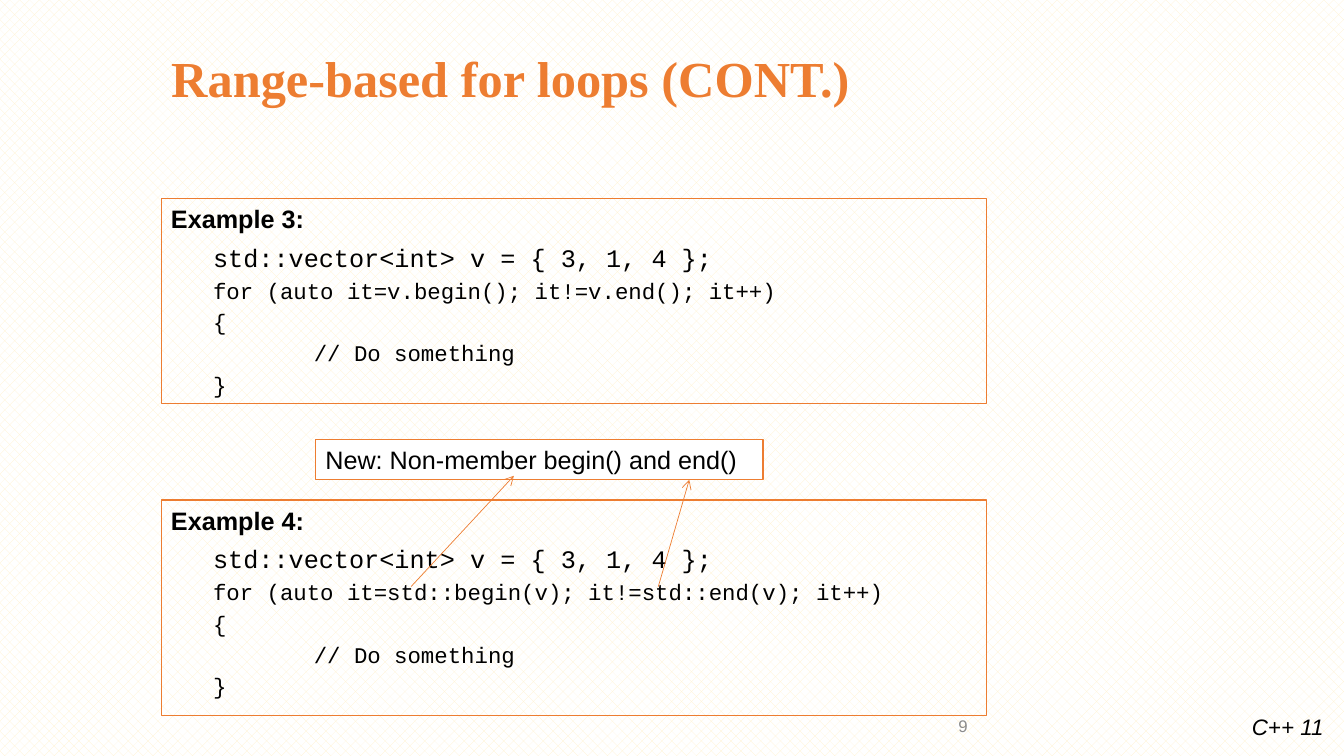
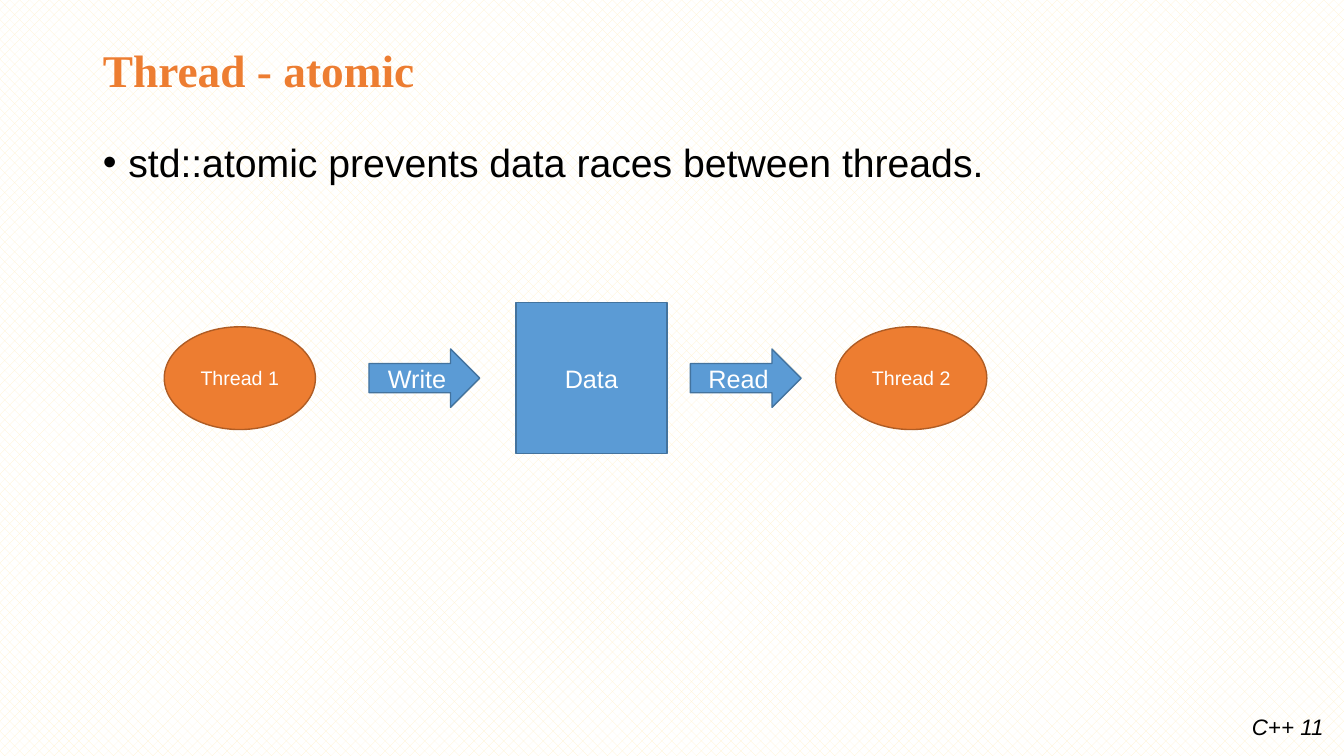
"""Build two C++ 11 slides: range-based for loops and atomic threads."""
from lxml.etree import SubElement
from pptx import Presentation
from pptx.dml.color import RGBColor
from pptx.enum.dml import MSO_PATTERN
from pptx.enum.shapes import MSO_CONNECTOR, MSO_SHAPE
from pptx.enum.text import MSO_ANCHOR, MSO_AUTO_SIZE, PP_ALIGN
from pptx.oxml.ns import qn
from pptx.util import Cm, Pt

ORANGE = RGBColor(0xED, 0x7D, 0x31)
DARK_ORANGE = RGBColor(0xAF, 0x5C, 0x24)
BLUE = RGBColor(0x5B, 0x9B, 0xD5)
DARK_BLUE = RGBColor(0x43, 0x73, 0x9E)
CREAM = RGBColor(0xFF, 0xF2, 0xCC)
WHITE = RGBColor(0xFF, 0xFF, 0xFF)
BLACK = RGBColor(0x00, 0x00, 0x00)
GRAY = RGBColor(0x8C, 0x8C, 0x8C)


def format_text(paragraph, size, color=BLACK, font="Arial", bold=False, italic=False):
    for run in paragraph.runs:
        run.font.size = Pt(size)
        run.font.color.rgb = color
        run.font.name = font
        run.font.bold = bold
        run.font.italic = italic


def add_box(slide, kind, left, top, width, height, fill, line, line_width):
    shape = slide.shapes.add_shape(kind, Cm(left), Cm(top), Cm(width), Cm(height))
    shape.shadow.inherit = False
    if fill is None:
        shape.fill.background()
    else:
        shape.fill.solid()
        shape.fill.fore_color.rgb = fill
    shape.line.color.rgb = line
    shape.line.width = Pt(line_width)
    shape.text_frame.word_wrap = True
    return shape


presentation = Presentation()
presentation.slide_width = Cm(33.87)
presentation.slide_height = Cm(19.05)
master = presentation.slide_master
background = master.background.fill
background.patterned()
background.pattern = MSO_PATTERN.PERCENT_30
background.fore_color.rgb = CREAM
background.back_color.rgb = WHITE

loops_slide = presentation.slides.add_slide(presentation.slide_layouts[5])
thread_slide = presentation.slides.add_slide(presentation.slide_layouts[1])

footer = loops_slide.shapes.add_textbox(Cm(31.3), Cm(17.84), Cm(2.34), Cm(0.94))
footer.text_frame.word_wrap = False
footer.text_frame.text = "C++ 11"
format_text(footer.text_frame.paragraphs[0], 16, italic=True)
footer.element.nvSpPr.cNvPr.set("id", "20")
master.shapes.element.append(footer.element)

titles = [
    (loops_slide, "Range-based for loops (CONT.)", 36, (4.06, 0.91, 17.81, 2.26)),
    (thread_slide, "Thread - atomic", 32.4, (2.34, 1.02, 9.32, 1.63)),
]
for slide, text, size, place in titles:
    title = slide.shapes.title
    title.left, title.top, title.width, title.height = map(Cm, place)
    title.text_frame.text = text
    title.text_frame.auto_size = MSO_AUTO_SIZE.NONE
    title.text_frame.vertical_anchor = MSO_ANCHOR.MIDDLE
    paragraph = title.text_frame.paragraphs[0]
    paragraph.alignment = PP_ALIGN.LEFT
    paragraph.line_spacing = 0.9
    format_text(paragraph, size, ORANGE, "Times New Roman", bold=True)

page_number = loops_slide.shapes.add_textbox(Cm(23.42), Cm(17.56), Cm(1.7), Cm(1.45))
page_number.text_frame.word_wrap = True
page_number.text_frame.vertical_anchor = MSO_ANCHOR.MIDDLE
page_number.text_frame.text = "9"
paragraph = page_number.text_frame.paragraphs[0]
paragraph.alignment = PP_ALIGN.CENTER
format_text(paragraph, 12, GRAY)

examples = [
    ("Example 3:", 5, 5.16, "for (auto it=v.begin(); it!=v.end(); it++)"),
    ("Example 4:", 12.6, 5.44, "for (auto it=std::begin(v); it!=std::end(v); it++)"),
]
for heading, top, height, loop_line in examples:
    example = add_box(loops_slide, MSO_SHAPE.RECTANGLE, 4.06, top, 20.8, height, None, ORANGE, 0.75)
    frame = example.text_frame
    frame.vertical_anchor = MSO_ANCHOR.TOP
    lines = [
        (heading, 18, "Arial", 0, 6),
        ("std::vector<int> v = { 3, 1, 4 };", 18, "Courier New", 1.06, 6),
        (loop_line, 16, "Courier New", 1.06, 3.2),
        ("{", 16, "Courier New", 1.06, 3.2),
        ("// Do something", 16, "Courier New", 3.6, 3.2),
        ("}", 16, "Courier New", 1.06, 3.2),
    ]
    frame.text = "\n".join(line[0] for line in lines)
    for paragraph, (text, size, font, indent, space) in zip(frame.paragraphs, lines):
        paragraph.alignment = PP_ALIGN.LEFT
        paragraph.space_before = Pt(space)
        paragraph._p.get_or_add_pPr().set("marL", str(Cm(indent)))
        format_text(paragraph, size, font=font, bold=text == heading)

callout = add_box(loops_slide, MSO_SHAPE.RECTANGLE, 7.95, 11.07, 11.28, 1.02, WHITE, ORANGE, 1)
callout.text_frame.text = "New: Non-member begin() and end()"
paragraph = callout.text_frame.paragraphs[0]
paragraph.alignment = PP_ALIGN.LEFT
format_text(paragraph, 18)

for ends in [(10.36, 14.78, 12.95, 11.99), (16.59, 14.78, 17.37, 12.09)]:
    arrow = loops_slide.shapes.add_connector(MSO_CONNECTOR.STRAIGHT, *map(Cm, ends))
    arrow.line.color.rgb = ORANGE
    arrow.line.width = Pt(0.5)
    SubElement(arrow.line._get_or_add_ln(), qn("a:tailEnd"), type="arrow")
    SubElement(arrow.element.spPr, qn("a:effectLst"))

body = thread_slide.placeholders[1]
body.left, body.top, body.width, body.height = map(Cm, (2.34, 3.48, 29.21, 13.67))
body.text_frame.text = "std::atomic prevents data races between threads."
body.text_frame.auto_size = MSO_AUTO_SIZE.NONE
paragraph = body.text_frame.paragraphs[0]
paragraph.line_spacing = 0.9
paragraph.space_before = Pt(10)
properties = paragraph._p.get_or_add_pPr()
properties.set("marL", str(Cm(0.64)))
properties.set("indent", str(Cm(-0.64)))
format_text(paragraph, 28)

ROW_CENTER = 9.53
ellipse_style = (MSO_SHAPE.OVAL, 3.81, 2.59, ORANGE, DARK_ORANGE, 14)
arrow_style = (MSO_SHAPE.RIGHT_ARROW, 2.79, 1.47, BLUE, DARK_BLUE, 18)
data_style = (MSO_SHAPE.RECTANGLE, 3.81, 3.81, BLUE, DARK_BLUE, 18)
flow = [
    ("Thread 1", 4.14, ellipse_style),
    ("Write", 9.3, arrow_style),
    ("Data", 13, data_style),
    ("Read", 17.4, arrow_style),
    ("Thread 2", 21.06, ellipse_style),
]
for text, left, (kind, width, height, fill, line, size) in flow:
    shape = add_box(thread_slide, kind, left, ROW_CENTER - height / 2, width, height, fill, line, 1)
    shape.text_frame.vertical_anchor = MSO_ANCHOR.MIDDLE
    shape.text_frame.text = text
    paragraph = shape.text_frame.paragraphs[0]
    paragraph.alignment = PP_ALIGN.CENTER
    format_text(paragraph, size, WHITE)

presentation.save("out.pptx")
